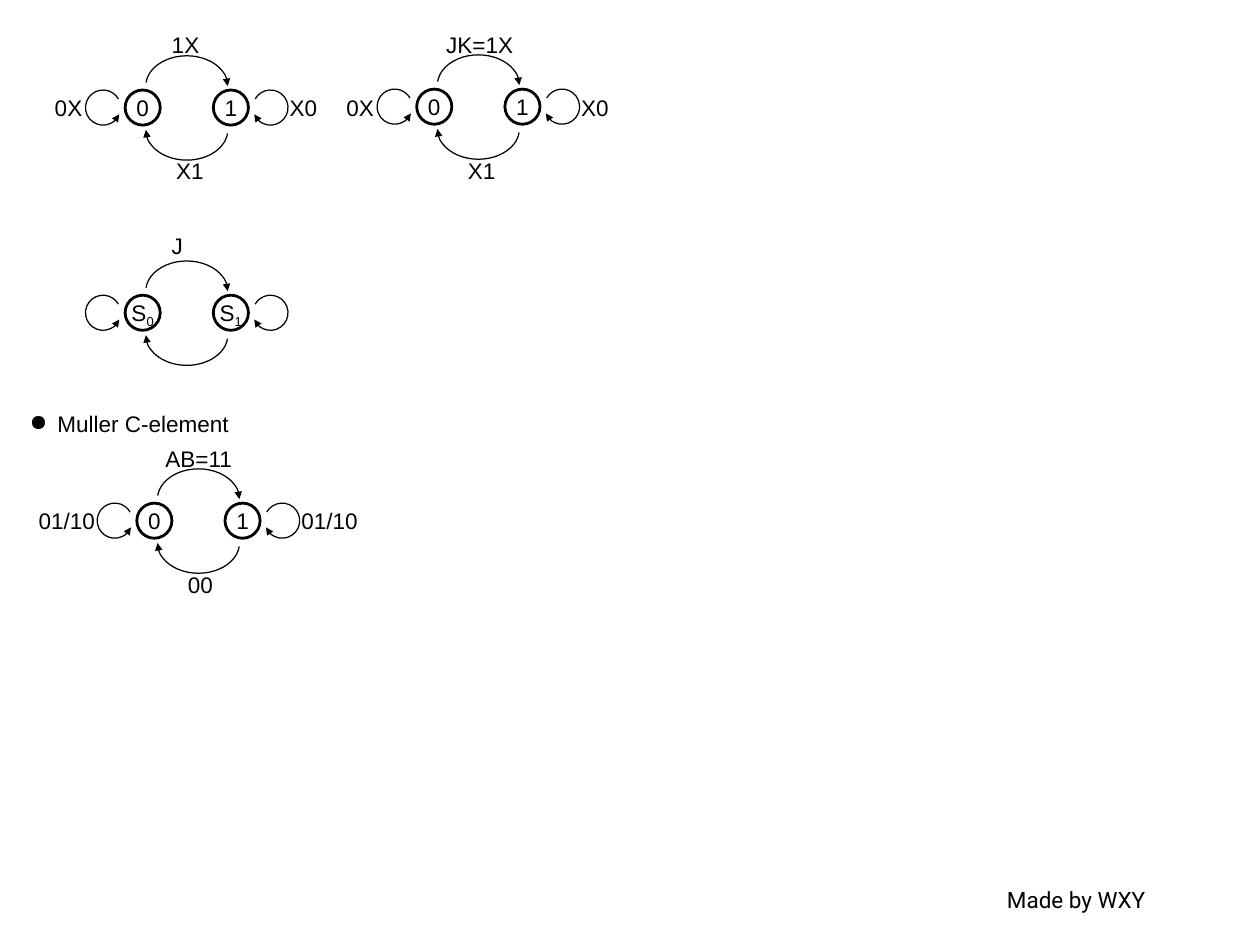
from lxml.etree import SubElement
from pptx import Presentation
from pptx.dml.color import RGBColor
from pptx.enum.shapes import MSO_SHAPE
from pptx.enum.text import PP_ALIGN
from pptx.oxml.ns import qn
from pptx.util import Inches, Pt

BLACK, WHITE = "000000", "FFFFFF"
STATE_SIZE = 0.39
STATE_GAP = 0.98
TEXT_HEIGHT = 0.4
ARC_END = 51.134
CURVE_START, LOOP_START = 161.938, 82.302


def color(hex_value):
    return RGBColor.from_string(hex_value)


def add_text(shapes, left, top, width, text, subscript="", align=None, font="Arial"):
    box = shapes.add_textbox(Inches(left), Inches(top), Inches(width), Inches(TEXT_HEIGHT))
    box.text_frame.word_wrap = True
    paragraph = box.text_frame.paragraphs[0]
    paragraph.alignment = align
    for part, baseline in ((text, None), (subscript, "-25000")):
        if not part:
            continue
        run = paragraph.add_run()
        run.text = part
        run.font.size = Pt(18)
        run.font.name = font
        run.font.color.rgb = color(BLACK)
        if baseline:
            run.font._element.set("baseline", baseline)
    return paragraph


def add_state(shapes, left, top, name, subscript):
    circle = shapes.add_shape(MSO_SHAPE.OVAL, Inches(left), Inches(top),
                              Inches(STATE_SIZE), Inches(STATE_SIZE))
    circle.shadow.inherit = False
    circle.fill.solid()
    circle.fill.fore_color.rgb = color(WHITE)
    circle.line.color.rgb = color(BLACK)
    circle.line.width = Pt(2.25)
    width = 0.51 if subscript else 0.37
    add_text(shapes, left + (STATE_SIZE - width) / 2, top - 0.01, width,
             name, subscript, PP_ALIGN.CENTER)


def add_transition(shapes, left, top, width, height, start, rotation, flip=None):
    """Draw an open arc whose arrowhead sits at its start."""
    arc = shapes.add_shape(MSO_SHAPE.ARC, Inches(left), Inches(top),
                           Inches(width), Inches(height))
    arc.shadow.inherit = False
    arc.fill.background()
    arc.line.color.rgb = color(BLACK)
    arc.line.width = Pt(1)
    arc.adjustments[0] = start
    arc.adjustments[1] = ARC_END
    arc.rotation = rotation
    if flip:
        arc._element.spPr.find(qn("a:xfrm")).set(flip, "1")
    SubElement(arc.line._get_or_add_ln(), qn("a:headEnd"), type="triangle")


def add_state_diagram(slide, left, top, states, labels):
    """Draw two states; left is the first loop's edge, top the states' edge.

    Each label is (text, x offset, y offset, width).
    """
    shapes = slide.shapes.add_group_shape().shapes
    for index, (name, subscript) in enumerate(states):
        add_state(shapes, left + 0.44 + index * STATE_GAP, top, name, subscript)
    for offset, flip in ((-0.5, "flipV"), (-0.01, "flipH")):
        add_transition(shapes, left + 0.79, top + offset, 0.67, 0.91,
                       CURVE_START, 270, flip)
    for offset, rotation, flip in ((1.86, 114.6, "flipH"), (0, 245.4, None)):
        add_transition(shapes, left + offset, top, STATE_SIZE, STATE_SIZE,
                       LOOP_START, rotation, flip)
    for text, x, y, width in labels:
        add_text(shapes, left + x, top + y, width, text)


def add_bullet(slide, left, top, width, text):
    paragraph = add_text(slide.shapes, left, top, width, text)
    properties = paragraph._p.get_or_add_pPr()
    properties.set("marL", str(Inches(0.31)))
    properties.set("indent", str(Inches(-0.31)))
    SubElement(properties, qn("a:buChar"), char="●")


def main():
    presentation = Presentation()
    presentation.slide_width = Inches(14)
    presentation.slide_height = Inches(10.5)
    slide = presentation.slides.add_slide(presentation.slide_layouts[6])

    binary_states = (("0", ""), ("1", ""))
    flip_flop_labels = [("X1", 0.91, 0.7, 0.62), ("0X", -0.44, 0, 0.62),
                        ("X0", 2.17, 0, 0.62)]

    add_text(slide.shapes, 11.09, 9.8, 2.46, "Made by WXY", font="Roboto")
    add_state_diagram(slide, 0.95, 3.28, (("S", "0"), ("S", "1")),
                      [("J", 0.86, -0.75, 0.48)])
    add_state_diagram(slide, 0.95, 1, binary_states,
                      [("1X", 0.86, -0.7, 0.62)] + flip_flop_labels)
    add_state_diagram(slide, 4.19, 0.99, binary_states,
                      [("JK=1X", 0.67, -0.7, 1.24)] + flip_flop_labels)
    add_state_diagram(slide, 1.08, 5.59, binary_states,
                      [("AB=11", 0.66, -0.7, 1.24), ("00", 0.91, 0.7, 0.62),
                       ("01/10", -0.75, -0.01, 0.93), ("01/10", 2.17, -0.01, 0.87)])
    add_bullet(slide, 0.23, 4.51, 2.77, "Muller C-element")
    presentation.save("out.pptx")


if __name__ == "__main__":
    main()
